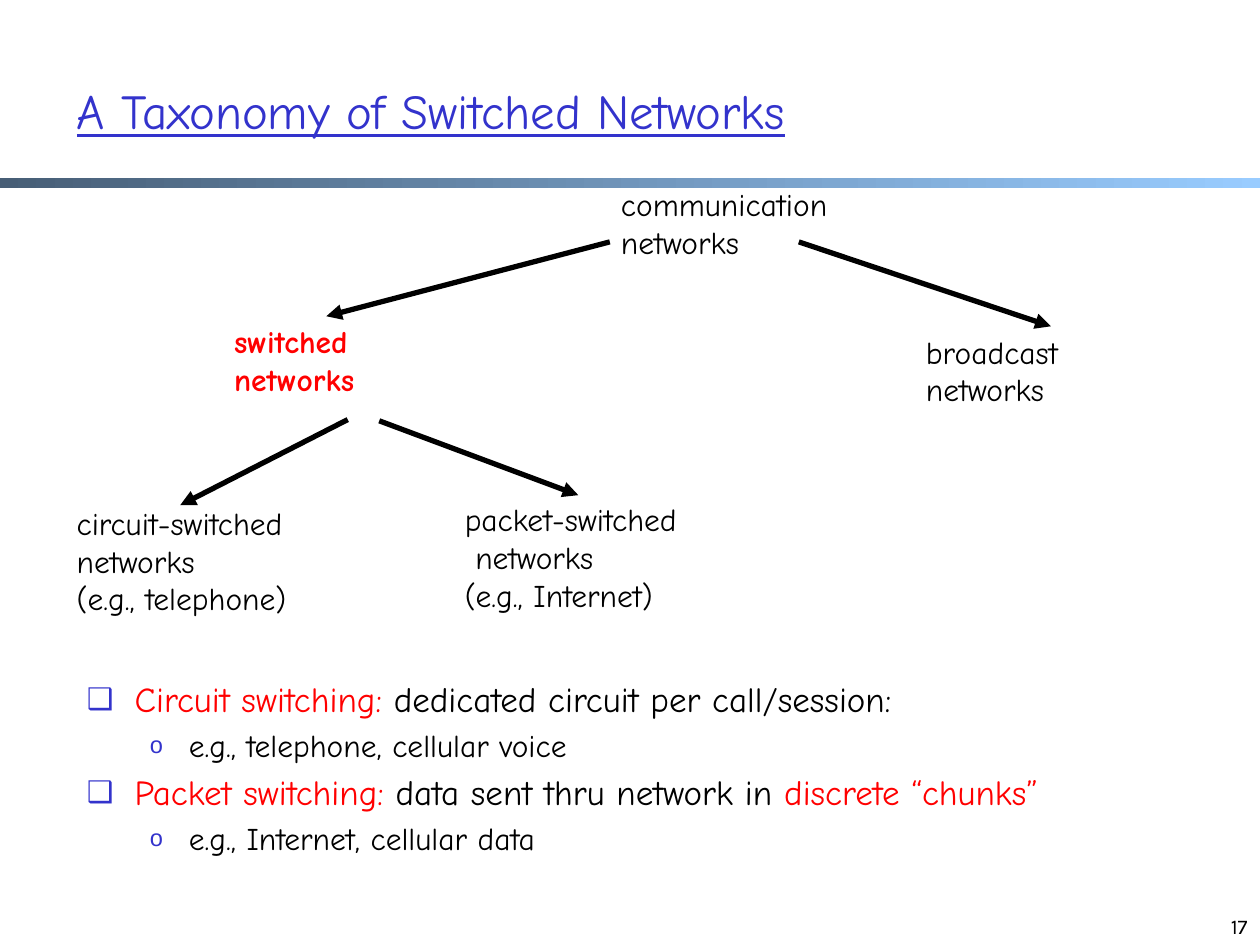
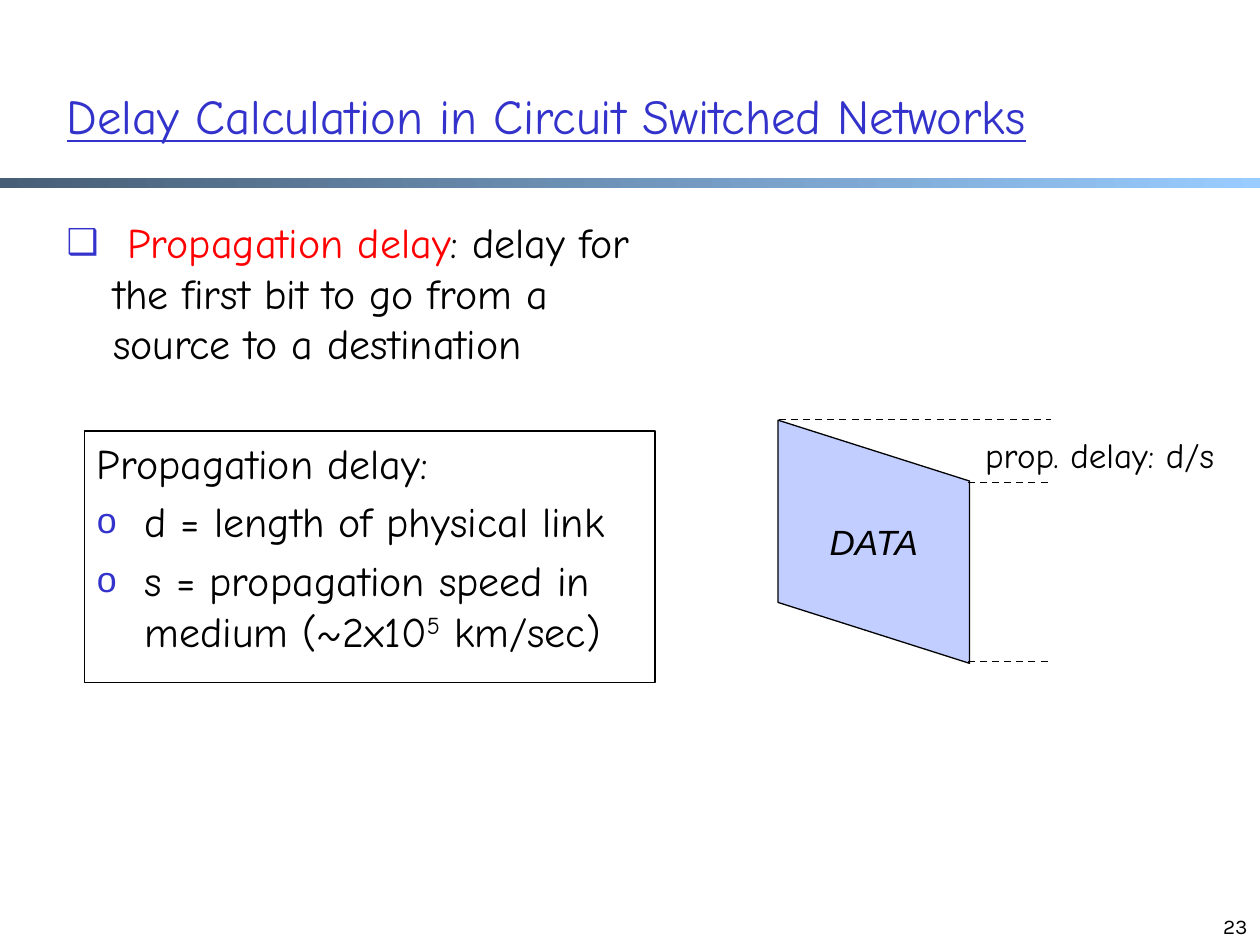
from lxml.etree import SubElement
from pptx import Presentation
from pptx.dml.color import RGBColor
from pptx.enum.dml import MSO_LINE
from pptx.enum.shapes import MSO_CONNECTOR, MSO_SHAPE
from pptx.enum.text import MSO_ANCHOR, MSO_AUTO_SIZE, PP_ALIGN
from pptx.oxml.ns import qn
from pptx.util import Inches, Pt

# Shared look; every place is given in cells of a 100 x 75 grid
COLORS = {
    "title": "3333CC", "text": "000000", "accent": "FF0000",
    "band_dark": "475E76", "band_light": "99CCFF", "data": "C1CEFF",
}
BODY_FONT, NUMBER_FONT, PLAIN_FONT = "Comic Neue", "Karla", "Arial"
COLUMNS, ROWS = 100, 75
CELL = Inches(10) // COLUMNS
TITLE_ONLY = 5
SQUARE, RING = "❑", "o"


def cells(*counts):
    return [round(count * CELL) for count in counts]


def color(name):
    return RGBColor.from_string(COLORS[name])


def style_run(run, size, tint="text", face=BODY_FONT, **flags):
    run.font.name = face
    run.font.size = Pt(size)
    run.font.color.rgb = color(tint)
    for flag, value in flags.items():
        setattr(run.font, flag, value)


def set_text(frame, text, size, align=PP_ALIGN.LEFT, **style):
    paragraph = frame.paragraphs[0]
    paragraph.text = text
    paragraph.alignment = align
    for run in paragraph.runs:
        style_run(run, size, **style)


def add_text_area(slide, place):
    frame = slide.shapes.add_textbox(*cells(*place)).text_frame
    frame.word_wrap = True
    return frame


def add_label(slide, place, text, size, **style):
    set_text(add_text_area(slide, place), text, size, **style)


def add_bullet(paragraph, char, percent):
    properties = paragraph._p.get_or_add_pPr()
    bullet_color = SubElement(properties, qn("a:buClr"))
    SubElement(bullet_color, qn("a:srgbClr")).set("val", COLORS["title"])
    SubElement(properties, qn("a:buSzPct")).set("val", str(percent * 1000))
    SubElement(properties, qn("a:buFont")).set("typeface", PLAIN_FONT)
    SubElement(properties, qn("a:buChar")).set("char", char)


def add_items(frame, items):
    """Each item: size, left indent, hanging part, bullet, bullet percent, pieces."""
    for index, (size, left, hanging, char, percent, pieces) in enumerate(items):
        paragraph = frame.add_paragraph() if index else frame.paragraphs[0]
        paragraph.alignment = PP_ALIGN.LEFT
        if index:
            paragraph.space_before = Pt(0.2 * size)
        properties = paragraph._p.get_or_add_pPr()
        properties.set("marL", str(Inches(left)))
        properties.set("indent", str(-Inches(hanging)))
        if char:
            add_bullet(paragraph, char, percent)
        for text, tint in pieces:
            run = paragraph.add_run()
            run.text = text
            style_run(run, size, "text" if tint == "raised" else tint)
            if tint == "raised":
                run._r.get_or_add_rPr().set("baseline", "30000")


def add_outlined(slide, preset, place, fill=None):
    shape = slide.shapes.add_shape(preset, *cells(*place))
    shape.shadow.inherit = False
    if fill:
        shape.fill.solid()
        shape.fill.fore_color.rgb = color(fill)
    else:
        shape.fill.background()
    shape.line.color.rgb = color("text")
    shape.line.width = Pt(0.75)
    return shape


def add_line(slide, start, end, width, dashed=False, arrow=False):
    line = slide.shapes.add_connector(
        MSO_CONNECTOR.STRAIGHT, *cells(*start), *cells(*end))
    line.line.color.rgb = color("text")
    line.line.width = Pt(width)
    if dashed:
        line.line.dash_style = MSO_LINE.DASH
    if arrow:
        SubElement(line.line._get_or_add_ln(), qn("a:tailEnd")).set("type", "triangle")
    SubElement(line._element.spPr, qn("a:effectLst"))


def add_band(slide):
    band = slide.shapes.add_shape(MSO_SHAPE.RECTANGLE, *cells(0, 14.1, COLUMNS, 0.8))
    band.shadow.inherit = False
    band.line.fill.background()
    band.fill.gradient()
    band.fill.gradient_angle = 0
    for stop, tint, position in zip(
            band.fill.gradient_stops, ("band_dark", "band_light"), (0, 1)):
        stop.color.rgb = color(tint)
        stop.position = position


def start_slide(deck, heading, place, anchor, number):
    slide = deck.slides.add_slide(deck.slide_layouts[TITLE_ONLY])
    add_band(slide)
    title = slide.shapes.title
    title.left, title.top, title.width, title.height = cells(*place)
    frame = title.text_frame
    frame.auto_size = MSO_AUTO_SIZE.NONE
    frame.vertical_anchor = anchor
    set_text(frame, heading, 27.9, tint="title", underline=True)
    page = add_text_area(slide, (76.7, ROWS - 5, 23.3, 5))
    page.vertical_anchor = MSO_ANCHOR.BOTTOM
    set_text(page, number, 12, PP_ALIGN.RIGHT, face=NUMBER_FONT)
    return slide


def build_taxonomy(deck):
    slide = start_slide(deck, "A Taxonomy of Switched Networks",
                        (5.1, 5.9, 85, 6.6), MSO_ANCHOR.TOP, "17")
    # Tree of network kinds
    add_label(slide, (17.6, 25.1, 22.5, 7), "switched\nnetworks", 18,
              tint="accent", bold=True)
    for place, kind in (
        ((48.3, 14.2, 22.5, 7), "communication networks"),
        ((72.5, 25.9, 22.5, 7), "broadcast\nnetworks"),
        ((5.1, 39.5, 22.5, 10), "circuit-switched\nnetworks\n(e.g., telephone)"),
        ((35.9, 39.2, 36.5, 10), "packet-switched\n networks\n(e.g., Internet)"),
    ):
        add_label(slide, place, kind, 18)
    for parent, child in (
        ((48.4, 19.2), (25.9, 25.1)), ((63.4, 19.2), (83.4, 25.9)),
        ((27.6, 33.3), (14.3, 40.1)), ((30.1, 33.4), (45.9, 39.3)),
    ):
        add_line(slide, parent, child, 3, arrow=True)

    # Definitions
    topic = (20, 0.38, 0.38, SQUARE, 85)
    example = (18, 0.81, 0.31, RING, 75)
    add_items(add_text_area(slide, (5.9, 53.3, 89.8, 16.6)), [
        (*topic, [("Circuit switching:", "accent"),
                  (" dedicated circuit per call/session:", "text")]),
        (*example, [("e.g., telephone, cellular voice", "text")]),
        (*topic, [("Packet switching:", "accent"),
                  (" data sent thru network in ", "text"),
                  ("discrete “chunks”", "accent")]),
        (*example, [("e.g., Internet, cellular data", "text")]),
    ])


def build_delay(deck):
    slide = start_slide(deck, "Delay Calculation in Circuit Switched Networks",
                        (4.3, 2.9, 89.7, 12.5), MSO_ANCHOR.MIDDLE, "23")
    # Definition and formula terms
    add_items(add_text_area(slide, (4.3, 16.7, 49.1, 13.1)), [
        (24, 0.37, 0.37, SQUARE, 85, [
            (" Propagation delay", "accent"),
            (": delay for the first bit to go from a source to a destination", "text")]),
    ])
    terms = add_outlined(slide, MSO_SHAPE.RECTANGLE, (6.7, 34.2, 45.3, 20)).text_frame
    terms.word_wrap = True
    terms.vertical_anchor = MSO_ANCHOR.TOP
    term = (24, 0.38, 0.38, RING, 85)
    add_items(terms, [
        (24, 0.38, 0.38, None, None, [("Propagation delay:", "text")]),
        (*term, [("d = length of physical link", "text")]),
        (*term, [("s = propagation speed in medium (~2x10", "text"),
                 ("5", "raised"), (" km/sec)", "text")]),
    ])

    # Data block, turned a quarter with its text kept level
    data = add_outlined(slide, MSO_SHAPE.PARALLELOGRAM, (59.7, 35.4, 19.3, 15.2), "data")
    data.adjustments[0] = 0.318
    data.rotation = 90
    data.text_frame.word_wrap = False
    data.text_frame.vertical_anchor = MSO_ANCHOR.MIDDLE
    data.text_frame._txBody.bodyPr.set("vert", "vert270")
    set_text(data.text_frame, "DATA", 20, PP_ALIGN.CENTER, face=PLAIN_FONT, italic=True)

    # Time marks
    for left, row in ((61.8, 33.3), (76.8, 38.3), (76.8, 52.5)):
        add_line(slide, (left, row), (83.4, row), 1, dashed=True)
    add_label(slide, (77.2, 33.9, 22.3, 4.4), "prop. delay: d/s", 20)


def main():
    deck = Presentation()
    deck.slide_width, deck.slide_height = cells(COLUMNS, ROWS)
    build_taxonomy(deck)
    build_delay(deck)
    deck.save("out.pptx")


if __name__ == "__main__":
    main()
